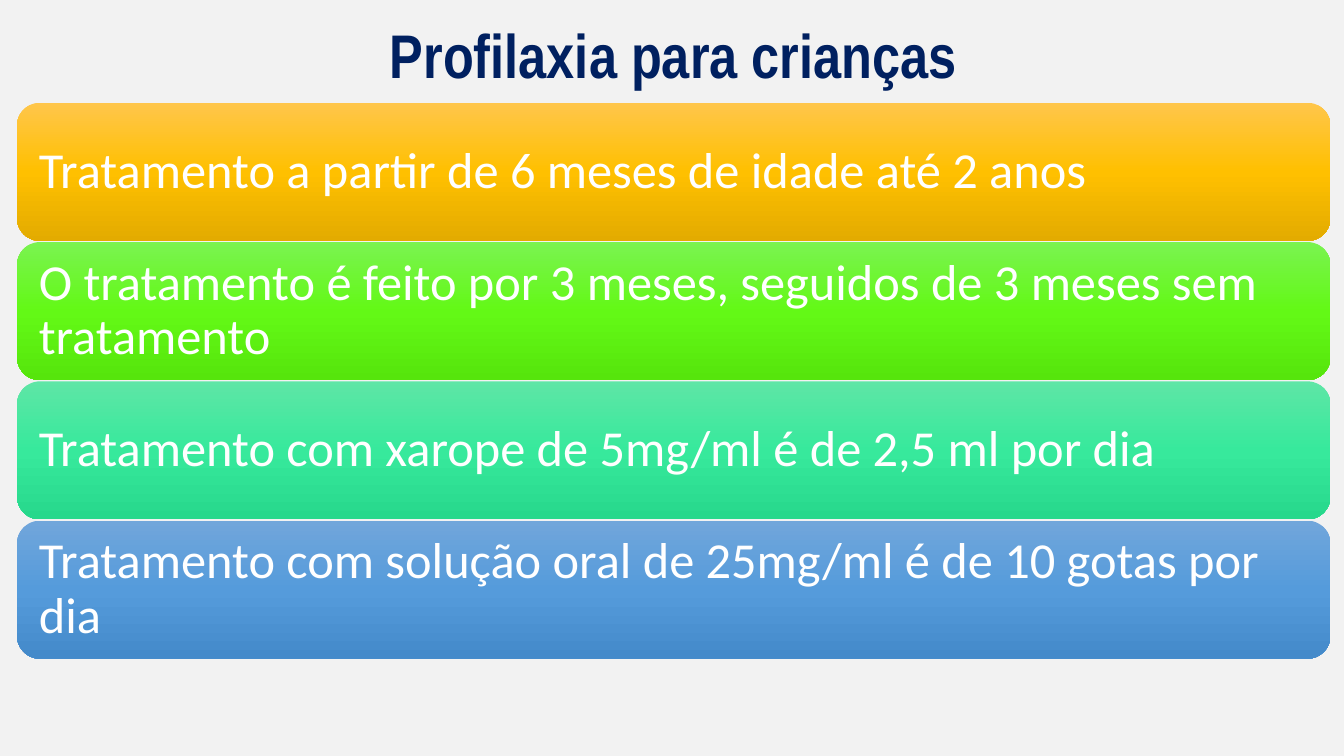
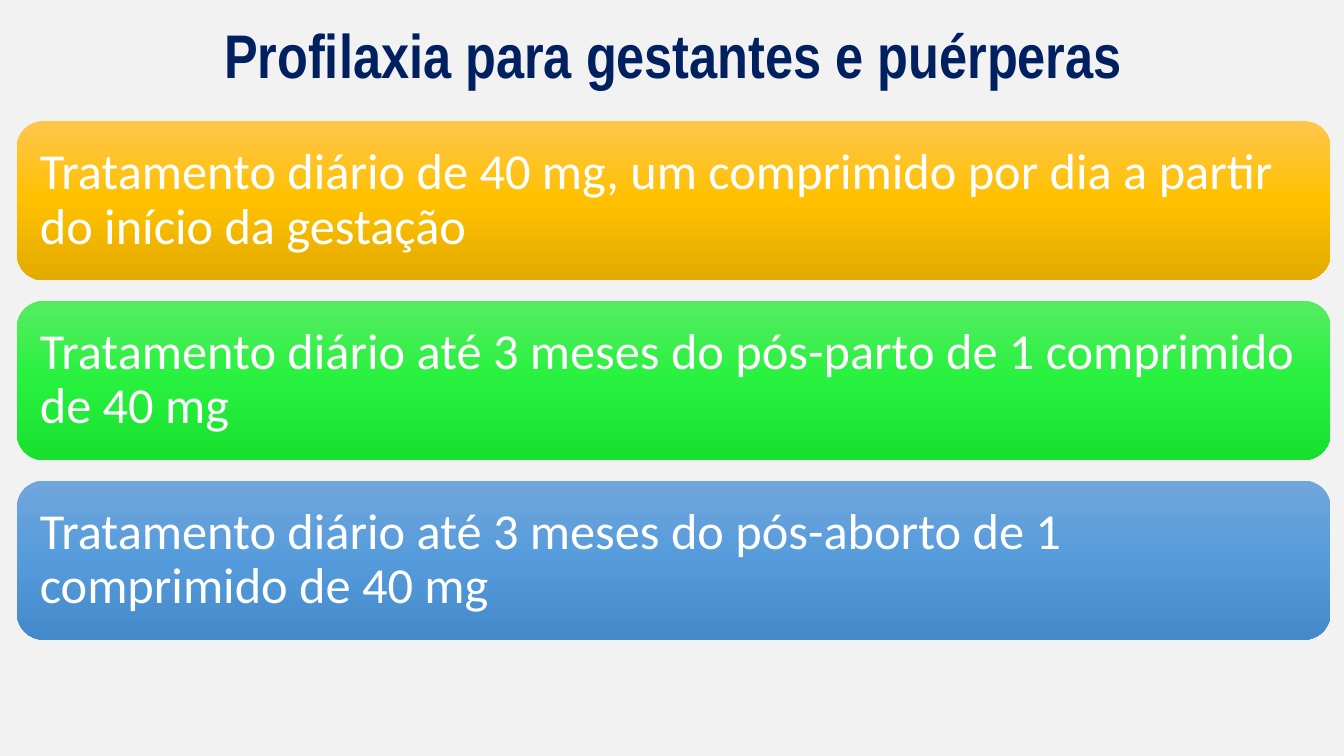
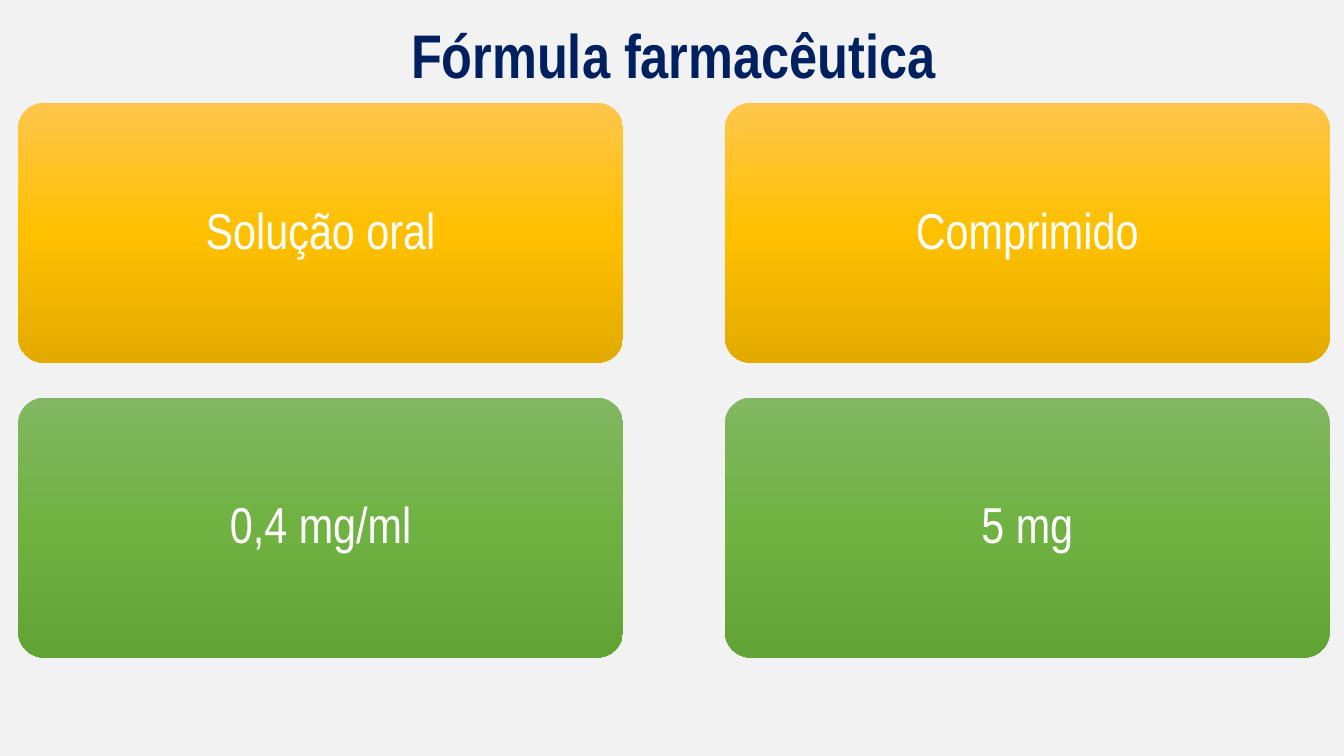
import copy

import pptx
import pptx.dml.color
import pptx.enum.shapes
import pptx.enum.text
import pptx.oxml.ns
import pptx.util

Cm = pptx.util.Cm
Pt = pptx.util.Pt
RGB = pptx.dml.color.RGBColor
ALIGN = pptx.enum.text.PP_ALIGN
MIDDLE = pptx.enum.text.MSO_ANCHOR.MIDDLE
ROUNDED = pptx.enum.shapes.MSO_SHAPE.ROUNDED_RECTANGLE

COLORS = {"back": "F2F2F2", "title": "002060", "text": "FFFFFF"}
GRADIENTS = {
    "amber": ["FFC64B", "FFC000", "E3AB00"],
    "lime": ["7AF350", "63F916", "56E50C"],
    "mint": ["5EE6A6", "37E99C", "27D88C"],
    "blue": ["71A6DB", "559BDB", "448ACA"],
    "green": ["56EC62", "27F13E", "18E02F"],
    "leaf": ["81B861", "6FB242", "62A336"],
}
TITLE_FONT = {"name": "Arial Narrow", "size": Pt(44), "bold": True}
TITLE_FRAME = {"word_wrap": True, "vertical_anchor": MIDDLE}
INSET = Cm(0.38)
CARD_FRAME = {
    **TITLE_FRAME,
    "margin_left": INSET,
    "margin_right": INSET,
    "margin_top": INSET,
    "margin_bottom": INSET,
}
BARS = {"font": "Calibri", "align": ALIGN.LEFT, "left": 0.43, "width": 33.1, "dx": 0, "adj": 0.1667}
CARDS = {"font": "Arial Narrow", "align": ALIGN.CENTER, "left": 0.46, "width": 15.24, "dx": 17.81, "adj": 0.1}

SLIDES = [
    {
        **BARS, "title": "Profilaxia para crianças",
        "top": 2.59, "height": 3.48, "dy": 3.51,
        "rows": [
            ("amber", ["Tratamento a partir de 6 meses de idade até 2 anos"]),
            ("lime", ["O tratamento é feito por 3 meses, seguidos de 3 meses sem tratamento"]),
            ("mint", ["Tratamento com xarope de 5mg/ml é de 2,5 ml por dia"]),
            ("blue", ["Tratamento com solução oral de 25mg/ml é de 10 gotas por dia"]),
        ],
    },
    {
        **BARS, "title": "Profilaxia para gestantes e puérperas",
        "top": 3.05, "height": 4.01, "dy": 4.53,
        "rows": [
            ("amber", ["Tratamento diário de 40 mg, um comprimido por dia a partir do início da gestação"]),
            ("green", ["Tratamento diário até 3 meses do pós-parto de 1 comprimido de 40 mg"]),
            ("blue", ["Tratamento diário até 3 meses do pós-aborto de 1 comprimido de 40 mg"]),
        ],
    },
    {
        **CARDS, "title": "Fórmula farmacêutica",
        "top": 2.59, "height": 6.55, "dy": 7.43,
        "rows": [
            ("amber", ["Solução oral", "Comprimido"]),
            ("leaf", ["0,4 mg/ml", "5 mg"]),
        ],
    },
]


def write(sp, text, frame, font, color, align):
    tf = sp.text_frame
    for key, value in frame.items():
        setattr(tf, key, value)
    p = tf.paragraphs[0]
    p.alignment = align
    p.line_spacing = 0.9
    r = p.add_run()
    r.text = text
    for key, value in font.items():
        setattr(r.font, key, value)
    r.font.color.rgb = RGB.from_string(color)


def fill_gradient(sp, colors):
    sp.fill.gradient()
    sp.fill.gradient_angle = 270
    stops = sp._element.spPr.find(".//" + pptx.oxml.ns.qn("a:gsLst"))
    stops.insert(1, copy.deepcopy(stops[0]))
    for i, stop in enumerate(sp.fill.gradient_stops):
        stop.position = i / 2
        stop.color.rgb = RGB.from_string(colors[i])


prs = pptx.Presentation()
prs.slide_width = Cm(33.87)
prs.slide_height = Cm(19.05)
back = prs.slide_master.background.fill
back.solid()
back.fore_color.rgb = RGB.from_string(COLORS["back"])

for page in SLIDES:
    s = prs.slides.add_slide(prs.slide_layouts[6])
    title = s.shapes.add_textbox(Cm(0.43), Cm(0.38), Cm(33.1), Cm(2.18))
    write(title, page["title"], TITLE_FRAME, TITLE_FONT, COLORS["title"], ALIGN.CENTER)
    font = {"name": page["font"], "size": Pt(36)}
    for row, (gradient, texts) in enumerate(page["rows"]):
        for col, text in enumerate(texts):
            sp = s.shapes.add_shape(
                ROUNDED,
                Cm(page["left"] + col * page["dx"]),
                Cm(page["top"] + row * page["dy"]),
                Cm(page["width"]),
                Cm(page["height"]),
            )
            sp.adjustments[0] = page["adj"]
            sp.shadow.inherit = False
            sp.line.fill.background()
            fill_gradient(sp, GRADIENTS[gradient])
            write(sp, text, CARD_FRAME, font, COLORS["text"], page["align"])

prs.save("out.pptx")
